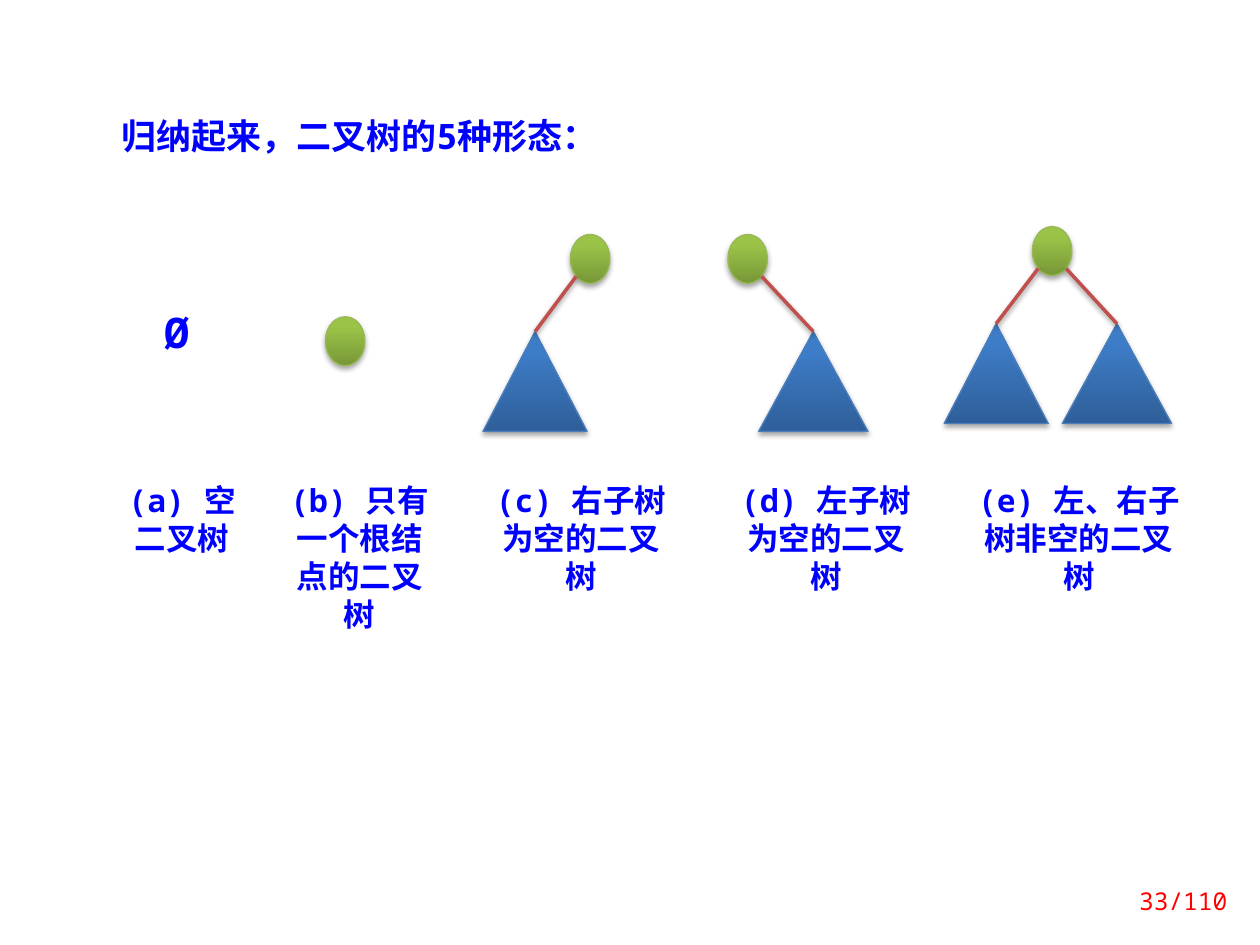
from lxml import etree
from pptx import Presentation
from pptx.dml.color import RGBColor
from pptx.enum.shapes import MSO_CONNECTOR, MSO_SHAPE
from pptx.enum.text import MSO_ANCHOR, PP_ALIGN
from pptx.oxml.ns import qn
from pptx.util import Pt

OVAL, TRIANGLE = MSO_SHAPE.OVAL, MSO_SHAPE.ISOSCELES_TRIANGLE
LEFT, CENTER, RIGHT = PP_ALIGN.LEFT, PP_ALIGN.CENTER, PP_ALIGN.RIGHT
TOP, MIDDLE = MSO_ANCHOR.TOP, MSO_ANCHOR.MIDDLE
STRAIGHT = MSO_CONNECTOR.STRAIGHT
FONT = "Noto Sans Mono"
COLORS = {
    "text": "0000FF", "page": "FF0000", "branch": "C0504D", "shadow": "000000",
    "node_dark": "779737", "node_light": "9BC348", "node_line": "98B955",
    "subtree_dark": "2F5F99", "subtree_light": "3D7CC7", "subtree_line": "4B7EBC",
}
NODE_W, NODE_H = 22.5, 28
SUBTREE_H = 57
SUBTREE_WIDTHS = {"left": 59.5, "right": 62.5}
DIAGONAL = 0.354  # half of sin 45°, the lower corner points of a node


def write(box, text, size, align, color="text", bold=True, anchor=TOP):
    frame = box.text_frame
    frame.word_wrap = True
    frame.vertical_anchor = anchor
    frame.text = text
    paragraph = frame.paragraphs[0]
    paragraph.alignment = align
    font = paragraph.runs[0].font
    font.name, font.size, font.bold = FONT, Pt(size), bold
    font.color.rgb = RGBColor.from_string(COLORS[color])
    return paragraph


def add_shadow(shape, distance, opacity):
    """Give the shape a soft shadow straight below it."""
    shape.shadow.inherit = False
    effects = shape._element.spPr.find(qn("a:effectLst"))
    outer = etree.SubElement(effects, qn("a:outerShdw"), blurRad=str(Pt(3.1)),
                             dist=str(Pt(distance)), dir="5400000", rotWithShape="0")
    tint = etree.SubElement(outer, qn("a:srgbClr"), val=COLORS["shadow"])
    etree.SubElement(tint, qn("a:alpha"), val=str(opacity * 1000))


prs = Presentation()
prs.slide_width, prs.slide_height = Pt(720), Pt(540)
slide = prs.slides.add_slide(prs.slide_layouts[5])
shapes = slide.shapes

heading = shapes.title
heading.left, heading.top, heading.width, heading.height = Pt(62), Pt(62), Pt(320), Pt(32)
write(heading, "归纳起来，二叉树的5种形态：", 20, LEFT)

empty_tree = shapes.add_textbox(Pt(78.5), Pt(177), Pt(45), Pt(36))
write(empty_tree, "Ø", 24, CENTER).line_spacing = 0.8

# Root position, then the side and position of each subtree
trees = [
    (186, 181, []),
    (326, 134, [("left", 276, 189.5)]),
    (416, 134, [("right", 433.5, 189.5)]),
    (590, 129.5, [("left", 539.5, 185), ("right", 607, 185)]),
]
for root_x, root_y, subtrees in trees:
    parts = [("node", OVAL, root_x, root_y, NODE_W, NODE_H)]
    for side, x, y in subtrees:
        parts.append(("subtree", TRIANGLE, x, y, SUBTREE_WIDTHS[side], SUBTREE_H))
    drawn = []
    for role, preset, x, y, width, height in parts:
        part = shapes.add_shape(preset, Pt(x), Pt(y), Pt(width), Pt(height))
        part.fill.gradient()
        part.fill.gradient_angle = 90
        for stop, shade, position in zip(part.fill.gradient_stops, ("dark", "light"), (0, 0.8)):
            stop.color.rgb = RGBColor.from_string(COLORS[f"{role}_{shade}"])
            stop.position = position
        part.line.color.rgb = RGBColor.from_string(COLORS[f"{role}_line"])
        part.line.width = Pt(0.75)
        add_shadow(part, 1.8, 35)
        drawn.append(part)

    for (side, x, y), subtree in zip(subtrees, drawn[1:]):
        direction = -1 if side == "left" else 1
        start_x = root_x + NODE_W * (0.5 + direction * DIAGONAL)
        start_y = root_y + NODE_H * (0.5 + DIAGONAL)
        branch = shapes.add_connector(STRAIGHT, Pt(start_x), Pt(start_y), Pt(x), Pt(y))
        branch.end_connect(subtree, 0)
        branch.line.color.rgb = RGBColor.from_string(COLORS["branch"])
        branch.line.width = Pt(2)
        effects = etree.SubElement(branch._element.spPr, qn("a:effectLst"))
        outer = etree.SubElement(effects, qn("a:outerShdw"), blurRad=str(Pt(3.1)),
                                 dist=str(Pt(1.6)), dir="5400000", rotWithShape="0")
        tint = etree.SubElement(outer, qn("a:srgbClr"), val=COLORS["shadow"])
        etree.SubElement(tint, qn("a:alpha"), val="38000")

captions = [
    ("(a) 空二叉树", 62, 84, 51),
    ("(b) 只有一个根结点的二叉树", 157.5, 96, 94.5),
    ("(c) 右子树为空的二叉树", 276, 112, 73),
    ("(d) 左子树为空的二叉树", 416, 112, 73),
    ("(e) 左、右子树非空的二叉树", 551.5, 130, 73),
]
for text, x, width, height in captions:
    caption = shapes.add_textbox(Pt(x), Pt(271.5), Pt(width), Pt(height))
    write(caption, text, 18, CENTER)

page = shapes.add_textbox(Pt(626.5), Pt(500.5), Pt(82), Pt(28.5))
write(page, "33/110", 14, RIGHT, color="page", bold=False, anchor=MIDDLE)

prs.save("out.pptx")
